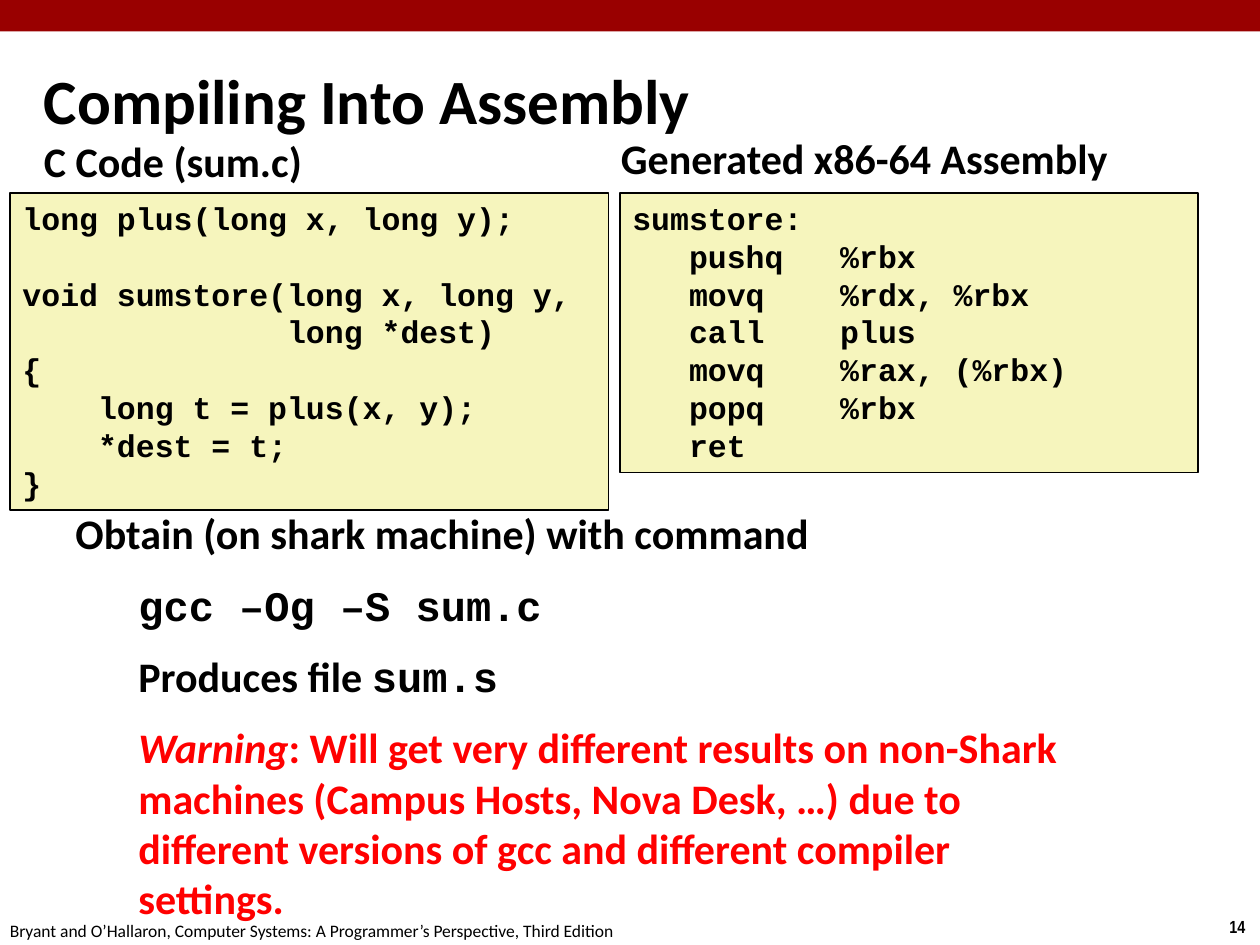
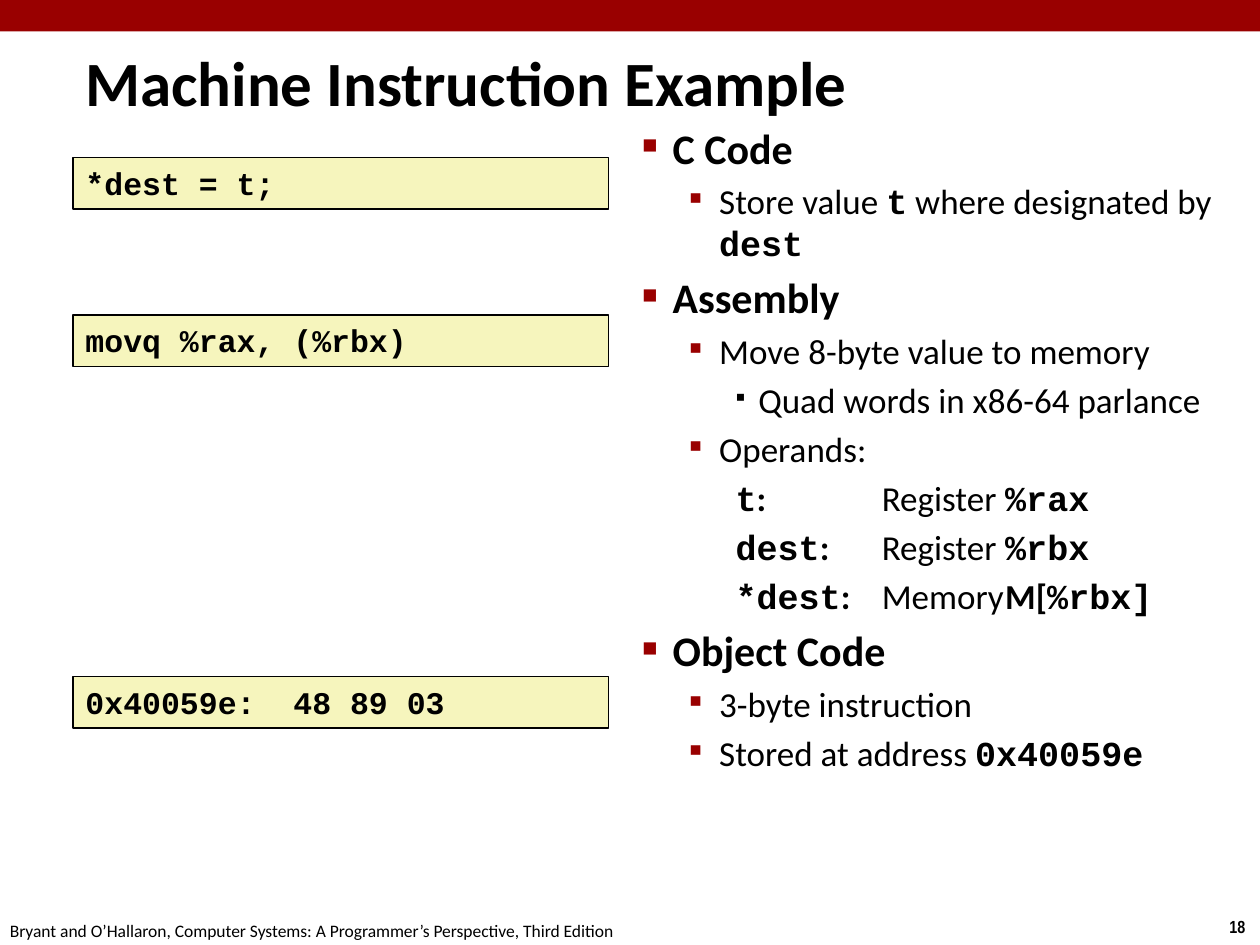
"""Build two lecture slides on compiling C into assembly and machine code."""
from lxml import etree
from pptx import Presentation
from pptx import util as u
from pptx.dml.color import RGBColor
from pptx.enum import shapes, text
from pptx.oxml import ns

COLORS = {"band": "990000", "code": "F6F5BD", "ink": "000000", "warning": "FF0000"}
SANS, MONO, NARROW = "Calibri", "Courier New", "Arial Narrow"
FOOTER = "Bryant and O’Hallaron, Computer Systems: A Programmer’s Perspective, Third Edition"
CODE_SIZE, CODE_PITCH = 18, 21.6


def add_text(s, box, paragraphs, size, wrap=True, color="ink", font=SANS):
    """Add a text box; runs are (text, flags) with b bold, i italic, m mono, w warning."""
    tf = s.shapes.add_textbox(*map(u.Inches, box)).text_frame
    tf.word_wrap = wrap
    for i, runs in enumerate(paragraphs):
        p = tf.add_paragraph() if i else tf.paragraphs[0]
        for content, flags in runs:
            r = p.add_run()
            r.text = content
            r.font.size = u.Pt(size)
            r.font.name = MONO if "m" in flags else font
            r.font.bold, r.font.italic = "b" in flags, "i" in flags
            r.font.color.rgb = RGBColor.from_string(COLORS["warning" if "w" in flags else color])
    return tf


def add_code(s, box, code):
    """Add a code panel; an empty line becomes space before the next line."""
    sp = s.shapes.add_shape(shapes.MSO_SHAPE.RECTANGLE, *map(u.Inches, box))
    sp.shadow.inherit = False
    sp.fill.solid()
    sp.fill.fore_color.rgb = RGBColor.from_string(COLORS["code"])
    sp.line.color.rgb = RGBColor.from_string(COLORS["ink"])
    sp.line.width = u.Pt(1)
    tf = sp.text_frame
    tf.vertical_anchor = text.MSO_ANCHOR.TOP
    tf.text = code.replace("\n\n", "\n")
    gaps = [block.split("\n")[0] for block in code.split("\n\n")[1:]]
    for p in tf.paragraphs:
        p.alignment = text.PP_ALIGN.LEFT
        p.line_spacing = u.Pt(CODE_PITCH)
        if p.text in gaps:
            p.space_before = u.Pt(CODE_PITCH)
        for r in p.runs:
            r.font.size, r.font.name, r.font.bold = u.Pt(CODE_SIZE), MONO, True
            r.font.color.rgb = RGBColor.from_string(COLORS["ink"])


prs = Presentation()
prs.slide_width, prs.slide_height = u.Inches(10), u.Inches(7.5)

slides = []
for title, box, number in [
    ("Compiling Into Assembly", (0.25, 0.48, 7.49, 0.61), "14"),
    ("Machine Instruction Example", (0.58, 0.33, 7.94, 0.63), "18"),
]:
    s = prs.slides.add_slide(prs.slide_layouts[6])
    band = s.shapes.add_shape(shapes.MSO_SHAPE.RECTANGLE, 0, 0, prs.slide_width, u.Inches(0.25))
    band.shadow.inherit = False
    band.fill.solid()
    band.fill.fore_color.rgb = RGBColor.from_string(COLORS["band"])
    band.line.fill.background()
    add_text(s, (9.66, 7.22, 0.34, 0.27), [[(number, "b")]], 10, wrap=False, font=NARROW)
    add_text(s, (-0.02, 7.25, 5.08, 0.27), [[(FOOTER, "")]], 10, wrap=False)
    tf = add_text(s, box, [[(title, "b")]], 36)
    tf.vertical_anchor = text.MSO_ANCHOR.MIDDLE
    slides.append(s)
compiling, instruction = slides

for heading, box, gap in [
    ("C Code (sum.c)", (0.25, 1.03, 2.67, 0.4), 0.2),
    ("Generated x86-64 Assembly", (4.83, 1, 4.5, 0.45), 0.3),
]:
    tf = add_text(compiling, box, [[(heading, "b")]], 24)
    tf.paragraphs[0].space_before = u.Pt(24 * gap)

add_code(compiling, (0.08, 1.53, 4.75, 2.52), """long plus(long x, long y);

void sumstore(long x, long y,
              long *dest)
{
    long t = plus(x, y);
    *dest = t;
}""")
add_code(compiling, (4.92, 1.53, 4.59, 2.22), """sumstore:
   pushq   %rbx
   movq    %rdx, %rbx
   call    plus
   movq    %rax, (%rbx)
   popq    %rbx
   ret""")

tf = add_text(compiling, (0.5, 3.98, 8.17, 3.73), [
    [("Obtain (on shark machine) with command", "b")],
    [("gcc –Og –S sum.c", "bm")],
    [("Produces file ", "b"), ("sum.s", "bm")],
    [("Warning", "biw"),
     (": Will get very different results on non-Shark machines (Campus Hosts, "
      "Nova Desk, …) due to different versions of gcc and different compiler settings.", "bw")],
], 24)
for i, p in enumerate(tf.paragraphs):
    p.space_before = u.Pt(12)
    if i:
        p.level = 1
        p._p.get_or_add_pPr().set("marL", str(u.Inches(0.5)))

LEVELS = {
    "topic": (0, 24, 0.24, -0.24, "■", 60, "band"),
    "point": (1, 20, 0.61, -0.24, "▪", 110, "band"),
    "detail": (2, 20, 0.92, -0.18, "▪", 80, "ink"),
    "operand": (2, 20, 0.92, -0.18, None, None, None),
}
outline = [
    ("topic", [("C Code", "b")]),
    ("point", [("Store value ", ""), ("t", "bm"), (" where designated by ", ""), ("dest", "bm")]),
    ("topic", [("Assembly", "b")]),
    ("point", [("Move 8-byte value to memory", "")]),
    ("detail", [("Quad words in x86-64 parlance", "")]),
    ("point", [("Operands:", "")]),
    ("operand", [("t", "bm"), (":\t", "b"), ("Register\t", ""), ("%rax", "bm")]),
    ("operand", [("dest", "bm"), (":\t", "b"), ("Register\t", ""), ("%rbx", "bm")]),
    ("operand", [("*dest", "bm"), (": ", "b"), ("\tMemory\t", ""), ("M[", "b"), ("%rbx]", "bm")]),
    ("topic", [("Object Code", "b")]),
    ("point", [("3-byte instruction", "")]),
    ("point", [("Stored at address ", ""), ("0x40059e", "bm")]),
]
tf = add_text(instruction, (5, 0.92, 5, 6.33), [runs for kind, runs in outline], 20)
for p, (kind, runs) in zip(tf.paragraphs, outline):
    level, size, margin, indent, bullet, percent, color = LEVELS[kind]
    p.level = level
    p.space_before = u.Pt(size * 0.2)
    for r in p.runs:
        r.font.size = u.Pt(size)
    pPr = p._p.get_or_add_pPr()
    for name, inches in [("marL", margin), ("indent", indent), ("defTabSz", 0.98)]:
        pPr.set(name, str(u.Inches(inches)))
    if bullet:
        clr = etree.SubElement(pPr, ns.qn("a:buClr"))
        etree.SubElement(clr, ns.qn("a:srgbClr"), val=COLORS[color])
        etree.SubElement(pPr, ns.qn("a:buSzPct"), val=str(percent * 1000))
        etree.SubElement(pPr, ns.qn("a:buFont"), typeface=NARROW)
        etree.SubElement(pPr, ns.qn("a:buChar"), char=bullet)
    else:
        etree.SubElement(pPr, ns.qn("a:buNone"))
    tabs = etree.SubElement(pPr, ns.qn("a:tabLst"))
    for stop in (1.75, 2.75):
        etree.SubElement(tabs, ns.qn("a:tab"), pos=str(u.Inches(stop)), algn="l")

for top, code in [(1.25, "*dest = t;"), (2.5, "movq %rax, (%rbx)"), (5.37, "0x40059e:  48 89 03")]:
    add_code(instruction, (0.58, top, 4.25, 0.41), code)

prs.save("out.pptx")
